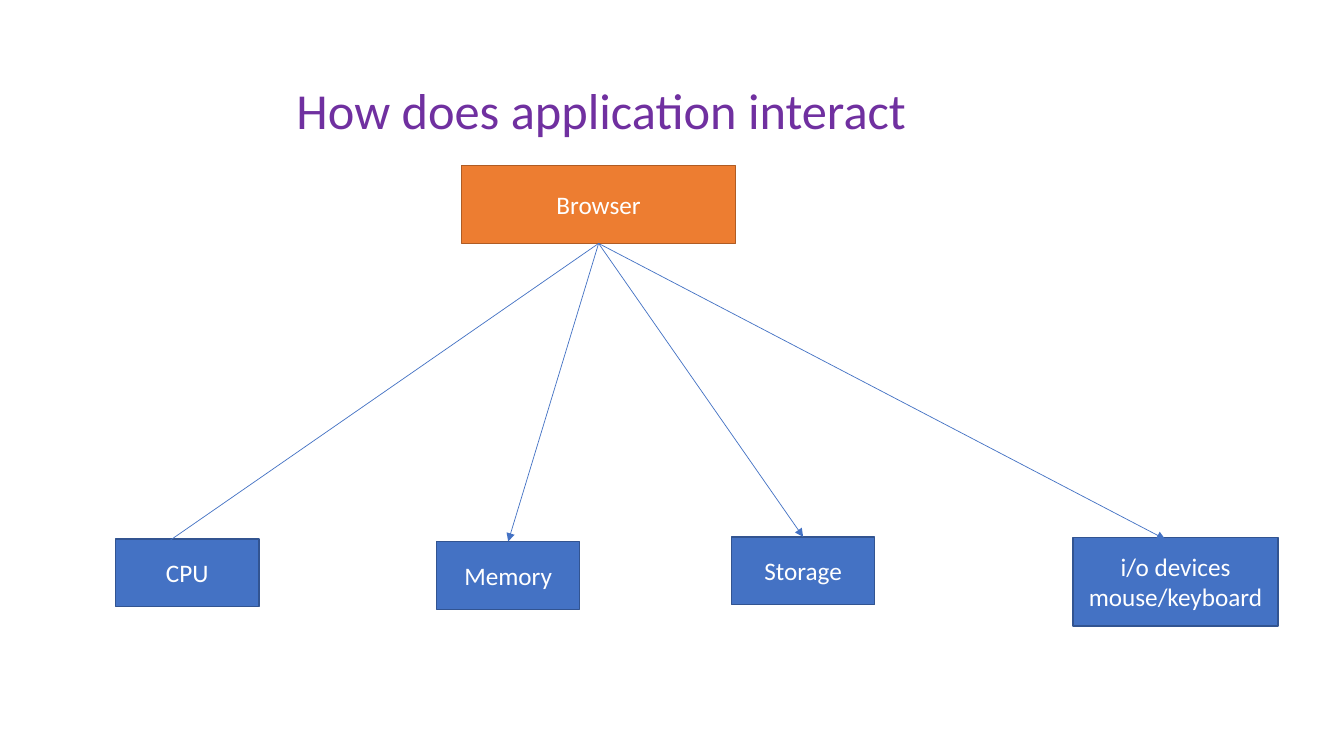
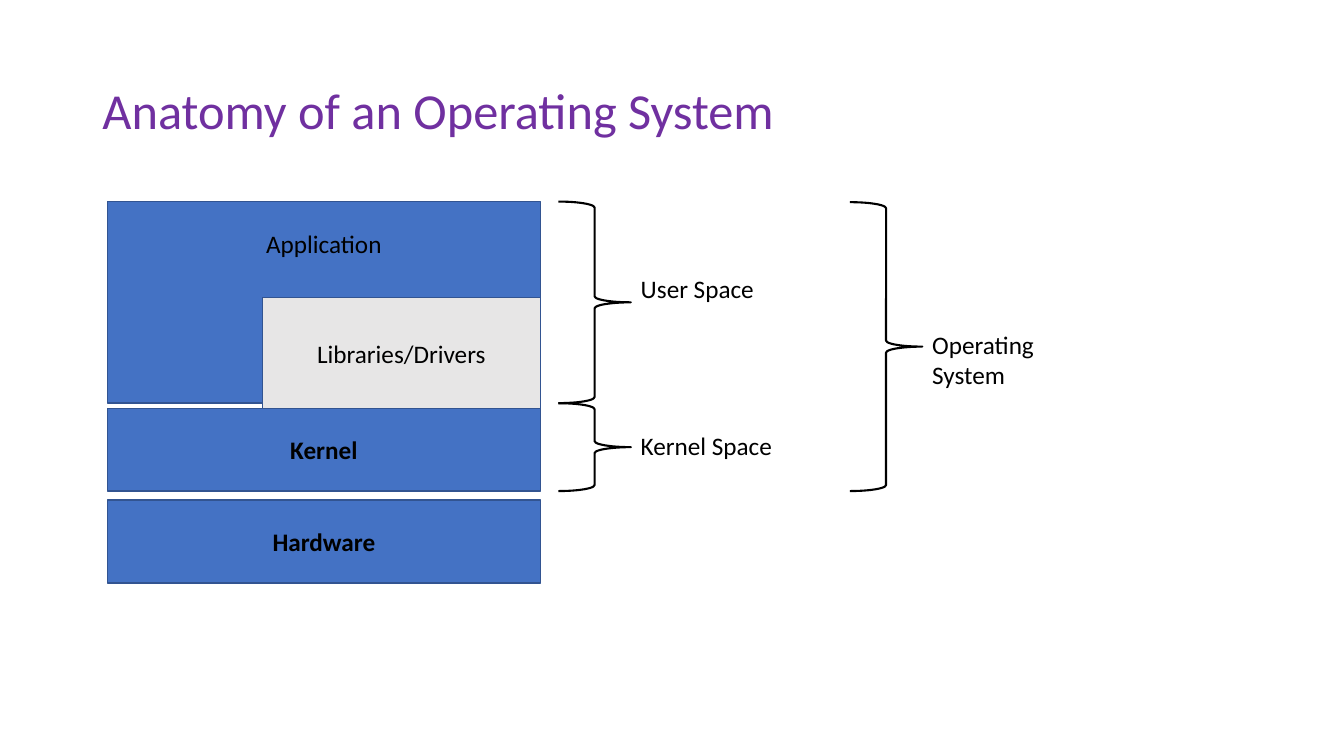
from lxml import etree
from pptx import Presentation
from pptx.dml.color import RGBColor
from pptx.enum.shapes import MSO_CONNECTOR, MSO_SHAPE
from pptx.enum.text import MSO_ANCHOR, MSO_AUTO_SIZE, PP_ALIGN
from pptx.oxml.ns import qn
from pptx.util import Pt

PURPLE = RGBColor(0x70, 0x30, 0xA0)
BLUE = RGBColor(0x44, 0x72, 0xC4)
DARK_BLUE = RGBColor(0x32, 0x54, 0x91)
ORANGE = RGBColor(0xED, 0x7D, 0x31)
DARK_ORANGE = RGBColor(0xAF, 0x5C, 0x24)
GREY = RGBColor(0xE7, 0xE6, 0xE6)
WHITE = RGBColor(0xFF, 0xFF, 0xFF)
BLACK = RGBColor(0x00, 0x00, 0x00)

STRAIGHT = MSO_CONNECTOR.STRAIGHT
RECTANGLE = MSO_SHAPE.RECTANGLE
RIGHT_BRACE = MSO_SHAPE.RIGHT_BRACE
TOP, MIDDLE = MSO_ANCHOR.TOP, MSO_ANCHOR.MIDDLE
GROW = MSO_AUTO_SIZE.SHAPE_TO_FIT_TEXT
FIXED = MSO_AUTO_SIZE.NONE
LEFT, CENTER = PP_ALIGN.LEFT, PP_ALIGN.CENTER

TOP_SIDE, BOTTOM_SIDE = 0, 2
TITLE_ONLY = 5
INSET = 7.2


class SlideBuilder:
    font = "Calibri"
    title_size = 36
    text_size = 18
    brace_width = 51.8

    def __init__(self, deck):
        self.deck = deck
        self.slide = None

    def set_text(self, shape, text, size, color, align, bold=False):
        shape.text_frame.text = text
        for para in shape.text_frame.paragraphs:
            para.alignment = align
            for span in para.runs:
                span.font.name = self.font
                span.font.size = Pt(size)
                span.font.bold = bold
                span.font.color.rgb = color

    def new_slide(self, title, indent=0):
        self.slide = self.deck.slides.add_slide(self.deck.slide_layouts[TITLE_ONLY])
        heading = self.slide.shapes.title
        heading.left, heading.top = Pt(66), Pt(28.8)
        heading.width, heading.height = Pt(828), Pt(104.4)
        self.set_text(heading, title, self.title_size, PURPLE, LEFT)
        frame = heading.text_frame
        frame.auto_size = FIXED
        frame.vertical_anchor = MIDDLE
        frame.margin_left = Pt(INSET + indent)
        frame.paragraphs[0].line_spacing = 0.9

    def box(self, text, left, top, width, height, fill=BLUE, line=DARK_BLUE,
            color=WHITE, bold=False):
        box = self.slide.shapes.add_shape(
            RECTANGLE, Pt(left), Pt(top), Pt(width), Pt(height))
        box.shadow.inherit = False
        box.fill.solid()
        box.fill.fore_color.rgb = fill
        box.line.color.rgb = line
        box.line.width = Pt(1)
        self.set_text(box, text, self.text_size, color, CENTER, bold)
        box.text_frame.vertical_anchor = MIDDLE
        return box

    def arrow(self, source, end_x=0, end_y=0, target=None):
        arrow = self.slide.shapes.add_connector(
            STRAIGHT, 0, 0, Pt(end_x), Pt(end_y))
        arrow.begin_connect(source, BOTTOM_SIDE)
        if target is not None:
            arrow.end_connect(target, TOP_SIDE)
        arrow.line.color.rgb = BLUE
        arrow.line.width = Pt(0.5)
        properties = arrow.element.spPr
        outline = properties.find(qn("a:ln"))
        etree.SubElement(outline, qn("a:tailEnd"), type="triangle")
        etree.SubElement(properties, qn("a:effectLst"))

    def label(self, text, left, top, width, height):
        label = self.slide.shapes.add_textbox(
            Pt(left), Pt(top), Pt(width), Pt(height))
        label.text_frame.word_wrap = True
        label.text_frame.auto_size = GROW
        self.set_text(label, text, self.text_size, BLACK, LEFT)

    def brace(self, text, left, top, height, label_top, label_height=31.7):
        brace = self.slide.shapes.add_shape(
            RIGHT_BRACE, Pt(left), Pt(top), Pt(self.brace_width), Pt(height))
        brace.shadow.inherit = False
        brace.fill.background()
        brace.line.color.rgb = BLACK
        brace.line.width = Pt(1.5)
        self.label(text, left + self.brace_width, label_top, 131, label_height)


def build_interaction(builder):
    builder.new_slide("How does application interact", indent=138.6)
    browser = builder.box("Browser", 329.6, 118.3, 196, 55.6, ORANGE, DARK_ORANGE)
    width, height = 102.4, 48.4
    builder.box("CPU", 82.6, 385, width, height)
    storage = builder.box("Storage", 522.5, 383.5, width, height)
    memory = builder.box("Memory", 311.8, 386.8, width, height)
    builder.box("i/o devices mouse/keyboard", 766.6, 383.8, 146.2, 63.4)
    builder.arrow(browser, 100.8, 400.3)
    builder.arrow(browser, target=memory)
    builder.arrow(browser, target=storage)
    builder.arrow(browser, 832.3, 385.2)


def build_anatomy(builder):
    builder.new_slide("Anatomy of an Operating System")
    left, width, layer_height = 76.8, 309.2, 59.2
    for name, top in (("Hardware", 357.3), ("Kernel", 291.6)):
        builder.box(name, left, top, width, layer_height, color=BLACK, bold=True)
    application = builder.box("Application", left, 144, width, 144, color=BLACK)
    application.text_frame.vertical_anchor = TOP
    application.text_frame.margin_top = Pt(19.3)
    library_width = 198.6
    builder.box("Libraries/Drivers", left + width - library_width, 212.6,
                library_width, 79, fill=GREY, color=BLACK)
    builder.brace("User Space", 398.8, 144, 144, 191.5)
    builder.brace("Kernel Space", 398.8, 288, 62.8, 303.8)
    builder.brace("Operating System", 607, 144.4, 206.4, 231.8, 55.4)


def main():
    deck = Presentation()
    deck.slide_width, deck.slide_height = Pt(960), Pt(540)
    builder = SlideBuilder(deck)
    build_interaction(builder)
    build_anatomy(builder)
    deck.save("out.pptx")


if __name__ == "__main__":
    main()
